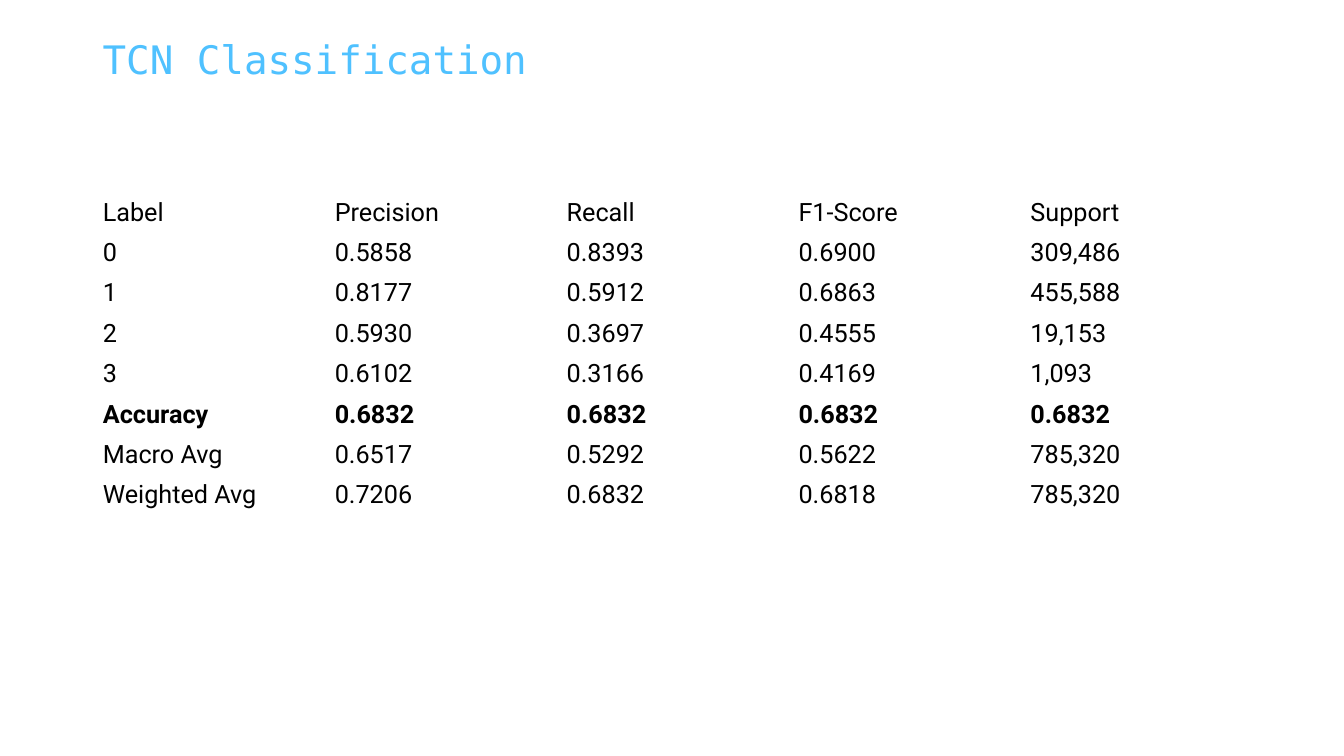
from typing import NamedTuple

from pptx import Presentation
from pptx.dml.color import RGBColor
from pptx.enum import text
from pptx.util import Inches, Pt

SKY_BLUE = RGBColor(0x4F, 0xC1, 0xFF)
BLACK = RGBColor(0, 0, 0)
LEFT, WIDTH = Inches(0.92), Inches(11.5)


class Style(NamedTuple):
    font: str
    size: int
    color: RGBColor


class Score(NamedTuple):
    label: str
    precision: str
    recall: str
    f1_score: str
    support: str
    bold: bool = False


TITLE_STYLE = Style("DejaVu Sans Mono", 28, SKY_BLUE)
TABLE_STYLE = Style("Roboto", 18, BLACK)
SCORES = [
    Score("Label", "Precision", "Recall", "F1-Score", "Support"),
    Score("0", "0.5858", "0.8393", "0.6900", "309,486"),
    Score("1", "0.8177", "0.5912", "0.6863", "455,588"),
    Score("2", "0.5930", "0.3697", "0.4555", "19,153"),
    Score("3", "0.6102", "0.3166", "0.4169", "1,093"),
    Score("Accuracy", "0.6832", "0.6832", "0.6832", "0.6832", bold=True),
    Score("Macro Avg", "0.6517", "0.5292", "0.5622", "785,320"),
    Score("Weighted Avg", "0.7206", "0.6832", "0.6818", "785,320"),
]


def write(text_frame, content: str, style: Style, bold: bool = False) -> None:
    text_frame.text = content
    font = text_frame.paragraphs[0].runs[0].font
    font.name = style.font
    font.size = Pt(style.size)
    font.bold = bold
    font.color.rgb = style.color


def add_title(slide, title: str) -> None:
    shape = slide.shapes.add_textbox(LEFT, Inches(0.33), WIDTH, Inches(0.57))
    text_frame = shape.text_frame
    text_frame.word_wrap = True
    text_frame.vertical_anchor = text.MSO_ANCHOR.MIDDLE
    write(text_frame, title, TITLE_STYLE)
    text_frame.paragraphs[0].line_spacing = 0.9


def add_score_table(slide, scores: list[Score]) -> None:
    columns = len(Score._fields) - 1
    row_height = Inches(0.39)
    table = slide.shapes.add_table(
        len(scores), columns, LEFT, Inches(1.91), WIDTH, row_height * len(scores)
    ).table
    table.first_row = False
    table.horz_banding = False
    for row, score in enumerate(scores):
        for column, value in enumerate(score[:columns]):
            cell = table.cell(row, column)
            cell.fill.background()
            cell.vertical_anchor = text.MSO_ANCHOR.MIDDLE
            write(cell.text_frame, value, TABLE_STYLE, score.bold)


def main() -> None:
    presentation = Presentation()
    presentation.slide_width = Inches(13.33)
    presentation.slide_height = Inches(7.5)
    slide = presentation.slides.add_slide(presentation.slide_layouts[6])
    add_title(slide, "TCN Classification")
    add_score_table(slide, SCORES)
    presentation.save("out.pptx")


if __name__ == "__main__":
    main()
